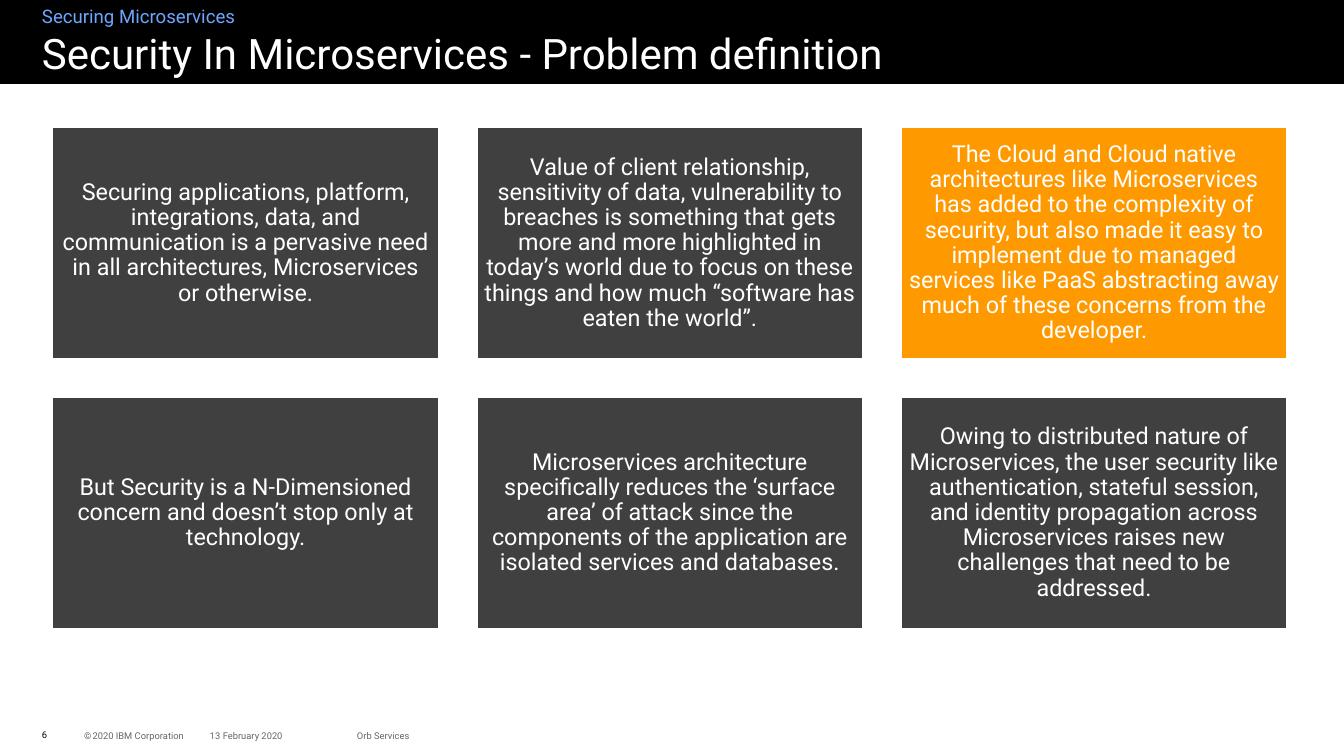
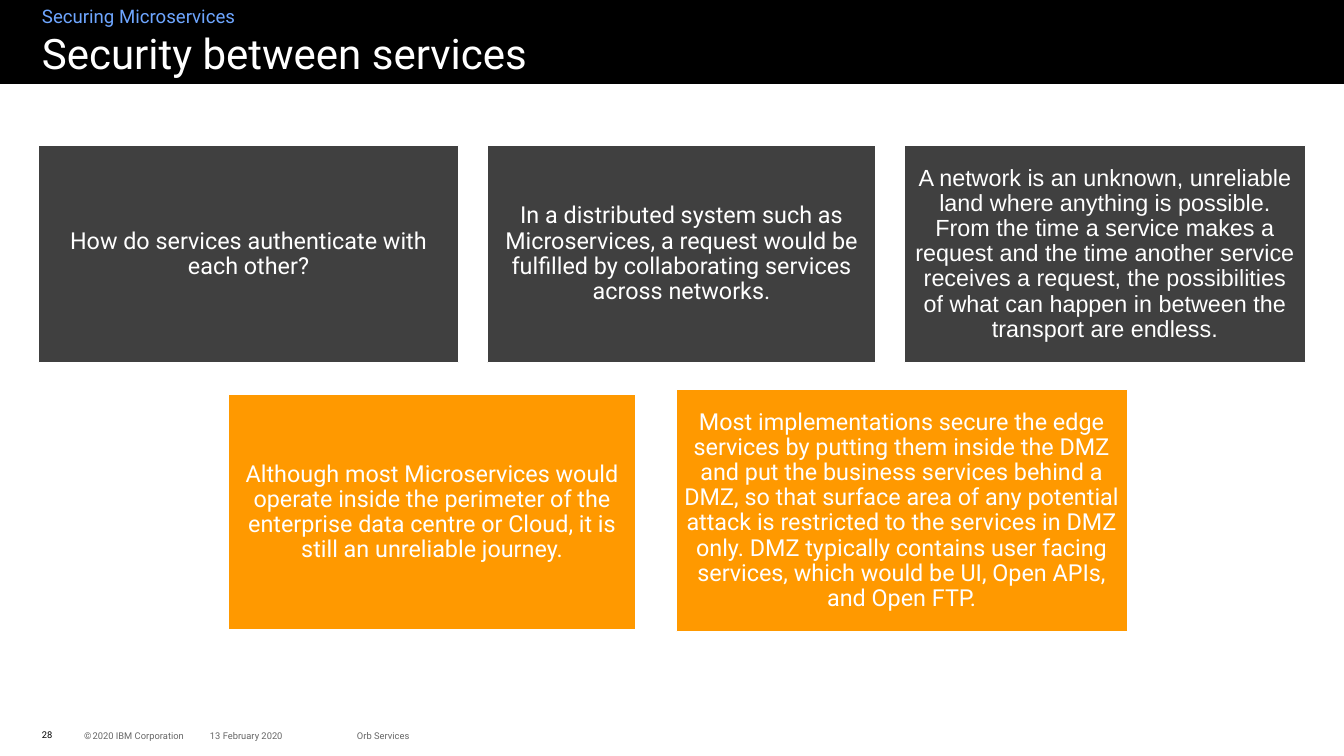
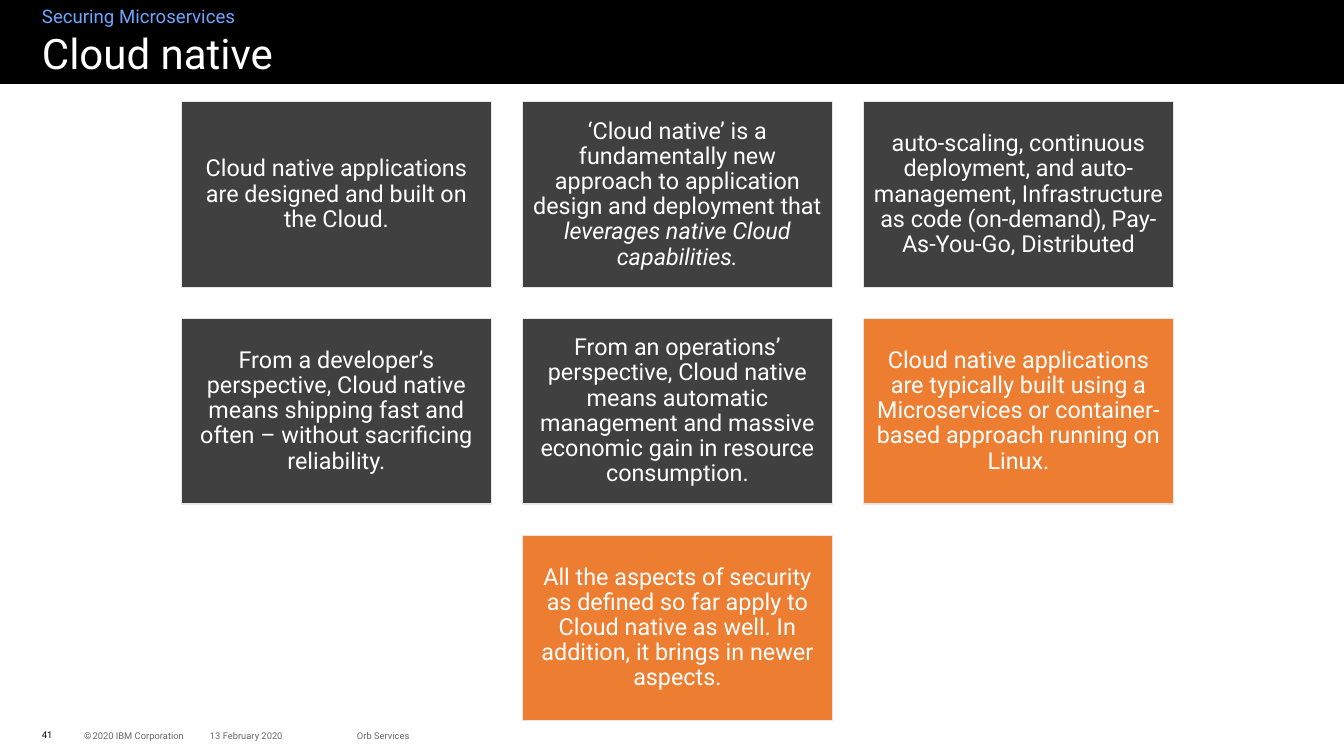
from dataclasses import dataclass

from pptx import Presentation
from pptx.dml.color import RGBColor
from pptx.enum.shapes import MSO_SHAPE
from pptx.enum.text import MSO_ANCHOR, PP_ALIGN
from pptx.shapes.autoshape import Shape
from pptx.slide import Slide
from pptx.util import Emu, Pt

# Shared style: 100 px to the inch
SCALE = 9144
WIDE, HIGH = 1600, 900
FONT = "Roboto"
BLACK, WHITE, BLUE, MUTED = "000000", "FFFFFF", "6EA6FF", "666666"
DARK, AMBER, ORANGE, PALE = "404040", "FF9900", "ED7D31", "E7E6E6"


@dataclass(frozen=True)
class Box:
    x: int
    y: int
    w: int
    h: int


@dataclass(frozen=True)
class Span:
    text: str
    size: int
    color: str
    font: str = FONT
    italic: bool = False


@dataclass(frozen=True)
class Note:
    text: str
    fill: str = DARK
    stress: str = ""
    font: str = FONT


@dataclass(frozen=True)
class Page:
    number: int
    title: str
    notes: list[Note]
    boxes: list[Box]
    edge: str = WHITE


def px(size: int) -> Emu:
    return Emu(size * SCALE)


def paint(color: str) -> RGBColor:
    return RGBColor.from_string(color)


def write(shape: Shape, spans: list[Span], inset: int = 0, lead: float = 1.0,
          align: PP_ALIGN = PP_ALIGN.LEFT,
          anchor: MSO_ANCHOR = MSO_ANCHOR.MIDDLE) -> None:
    frame = shape.text_frame
    frame.word_wrap = True
    frame.vertical_anchor = anchor
    frame.margin_left = frame.margin_right = px(inset)
    frame.margin_top = frame.margin_bottom = px(inset)
    para = frame.paragraphs[0]
    para.text = spans[0].text
    para.alignment = align
    para.line_spacing = lead
    for span in spans[1:]:
        para.add_run().text = span.text
    for run, span in zip(para.runs, spans):
        run.font.name = span.font
        run.font.size = Pt(span.size)
        run.font.italic = span.italic
        run.font.color.rgb = paint(span.color)


def label(slide: Slide, box: Box, spans: list[Span], lead: float = 1.0,
          anchor: MSO_ANCHOR = MSO_ANCHOR.MIDDLE) -> None:
    shape = slide.shapes.add_textbox(px(box.x), px(box.y), px(box.w), px(box.h))
    write(shape, spans, lead=lead, anchor=anchor)


def block(slide: Slide, box: Box, fill: str, edge: str = "") -> Shape:
    shape = slide.shapes.add_shape(
        MSO_SHAPE.RECTANGLE, px(box.x), px(box.y), px(box.w), px(box.h))
    shape.shadow.inherit = False
    shape.fill.solid()
    shape.fill.fore_color.rgb = paint(fill)
    if edge:
        shape.line.color.rgb = paint(edge)
        shape.line.width = Pt(1)
    else:
        shape.line.fill.background()
    return shape


def card(slide: Slide, box: Box, note: Note, edge: str) -> None:
    spans = [Span(note.text, 20, WHITE, note.font)]
    if note.stress:
        spans.append(Span(note.stress, 20, WHITE, note.font, True))
    write(block(slide, box, note.fill, edge), spans, 8, 0.9, PP_ALIGN.CENTER)


def row(first: Box, gap: int, widths: list[int]) -> list[Box]:
    """Boxes side by side with equal gaps."""
    boxes, left = [], first.x
    for width in widths:
        boxes.append(Box(left, first.y, width, first.h))
        left += width + gap
    return boxes


def grid(first: Box, gap: int, count: int, cols: int = 3) -> list[Box]:
    """Rows of equal boxes, with a short last row centred."""
    boxes = []
    for start in range(0, count, cols):
        used = min(cols, count - start)
        left = first.x + (cols - used) * (first.w + gap) // 2
        top = first.y + start // cols * (first.h + gap)
        boxes += row(Box(left, top, first.w, first.h), gap, [first.w] * used)
    return boxes


def header(slide: Slide, title: str) -> None:
    block(slide, Box(0, 0, WIDE, 100), BLACK)
    label(slide, Box(50, 5, 720, 30), [Span("Securing Microservices", 16, BLUE)],
          1.05, MSO_ANCHOR.TOP)
    label(slide, Box(50, 40, 1500, 55), [Span(title, 36, WHITE)],
          0.9, MSO_ANCHOR.TOP)


def footer(slide: Slide, number: int) -> None:
    label(slide, Box(50, 863, 36, 24), [Span(str(number), 8, BLACK)])
    label(slide, Box(100, 864, 145, 24), [
        Span("©", 8, MUTED), Span(" ", 4, MUTED),
        Span("2020 IBM Corporation", 8, MUTED)])
    label(slide, Box(250, 864, 150, 24), [Span("13 February 2020", 8, MUTED)])
    label(slide, Box(425, 864, 250, 24), [Span("Orb Services", 8, MUTED)])


PAGES = [
    Page(6, "Security In Microservices - Problem definition", [
        Note("Securing applications, platform, integrations, data, and "
             "communication is a pervasive need in all architectures, "
             "Microservices or otherwise."),
        Note("Value of client relationship, sensitivity of data, vulnerability "
             "to breaches is something that gets more and more highlighted in "
             "today’s world due to focus on these things and how much "
             "“software has eaten the world”."),
        Note("The Cloud and Cloud native architectures like Microservices has "
             "added to the complexity of security, but also made it easy to "
             "implement due to managed services like PaaS abstracting away "
             "much of these concerns from the developer.", AMBER),
        Note("But Security is a N-Dimensioned concern and doesn’t stop only "
             "at technology."),
        Note("Microservices architecture specifically reduces the ‘surface "
             "area’ of attack since the components of the application are "
             "isolated services and databases."),
        Note("Owing to distributed nature of Microservices, the user security "
             "like authentication, stateful session, and identity propagation "
             "across Microservices raises new challenges that need to be "
             "addressed."),
    ], grid(Box(63, 152, 459, 275), 46, 6)),
    Page(28, "Security between services", [
        Note("How do services authenticate with each other?"),
        Note("In a distributed system such as Microservices, a request would "
             "be fulfilled by collaborating services across networks."),
        Note("A network is an unknown, unreliable land where anything is "
             "possible. From the time a service makes a request and the time "
             "another service receives a request, the possibilities of what "
             "can happen in between the transport are endless.", font="Arial"),
        Note("Although most Microservices would operate inside the perimeter "
             "of the enterprise data centre or Cloud, it is still an "
             "unreliable journey.", AMBER),
        Note("Most implementations secure the edge services by putting them "
             "inside the DMZ and put the business services behind a DMZ, so "
             "that surface area of any potential attack is restricted to the "
             "services in DMZ only. DMZ typically contains user facing "
             "services, which would be UI, Open APIs, and Open FTP.", AMBER),
    ], row(Box(46, 173, 500, 259), 34, [500, 463, 477])
        + [Box(272, 470, 485, 280), Box(805, 464, 537, 288)]),
    Page(41, "Cloud native", [
        Note("Cloud native applications are designed and built on the Cloud."),
        Note("‘Cloud native’ is a fundamentally new approach to application "
             "design and deployment that ",
             stress="leverages native Cloud capabilities."),
        Note("auto-scaling, continuous deployment, and auto-management, "
             "Infrastructure as code (on-demand), Pay-As-You-Go, Distributed"),
        Note("From a developer’s perspective, Cloud native means shipping fast "
             "and often – without sacrificing reliability."),
        Note("From an operations’ perspective, Cloud native means automatic "
             "management and massive economic gain in resource consumption."),
        Note("Cloud native applications are typically built using a "
             "Microservices or container-based approach running on Linux.",
             ORANGE),
        Note("All the aspects of security as defined so far apply to Cloud "
             "native as well. In addition, it brings in newer aspects.",
             ORANGE),
    ], grid(Box(216, 121, 369, 221), 37, 7), PALE),
]


def main() -> None:
    deck = Presentation()
    deck.slide_width, deck.slide_height = px(WIDE), px(HIGH)
    blank = deck.slide_layouts[6]
    for page in PAGES:
        slide = deck.slides.add_slide(blank)
        header(slide, page.title)
        for box, note in zip(page.boxes, page.notes):
            card(slide, box, note, page.edge)
        footer(slide, page.number)
    deck.save("out.pptx")


if __name__ == "__main__":
    main()
